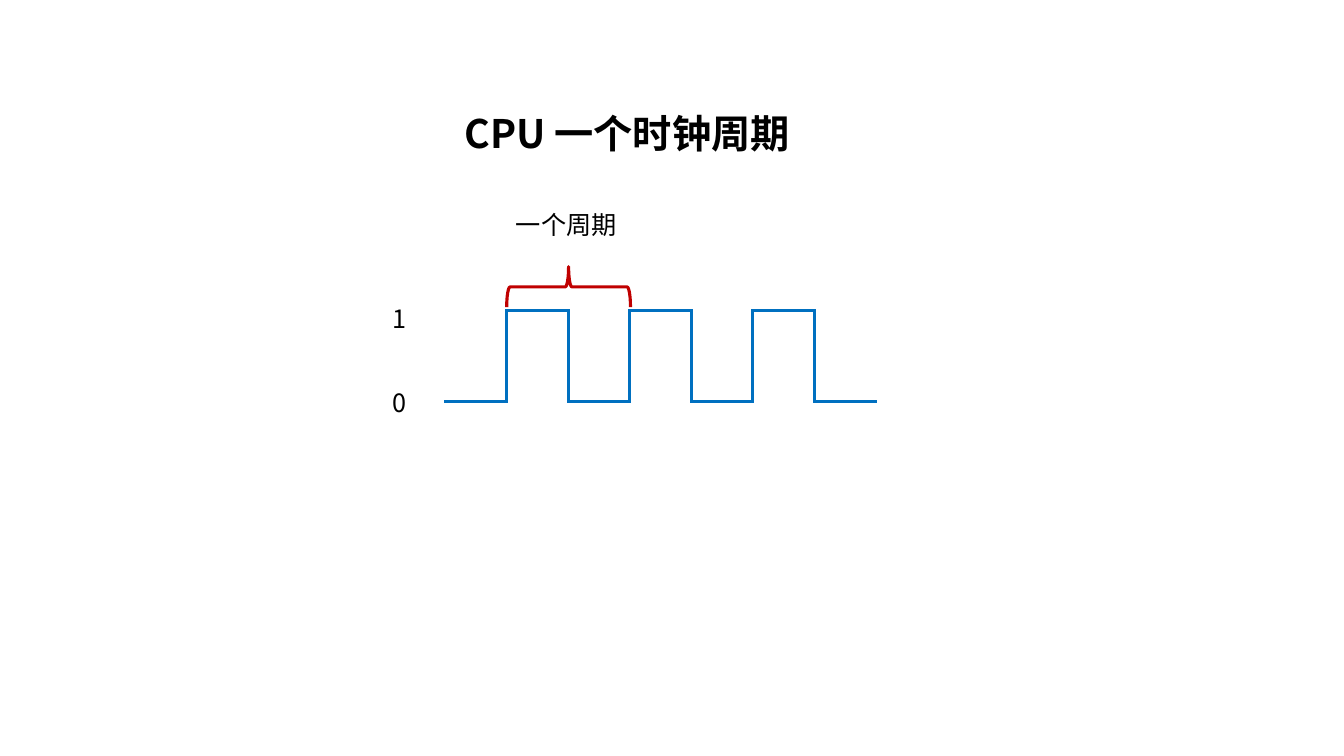
import pptx
import pptx.dml.color
import pptx.enum.shapes
import pptx.enum.text
import pptx.util
from lxml import etree
from pptx.oxml.ns import qn
from pptx.util import Cm

FONT = "Noto Sans CJK SC"


def color(value):
    return pptx.dml.color.RGBColor.from_string(value)


def style_line(shape, value):
    shape.line.color.rgb = color(value)
    shape.line.width = pptx.util.Pt(2.25)


deck = pptx.Presentation()
deck.slide_width, deck.slide_height = Cm(33.87), Cm(19.05)
page = deck.slides.add_slide(deck.slide_layouts[6])

# Clock signal: six edges, alternating high and low levels
first_edge, half_period, overhang = 12.77, 1.55, 0.03
high, low = 7.82, 10.11
edges = [first_edge + half_period * i for i in range(6)]
segments = [(x, low + overhang, x, high - overhang) for x in edges]
for i in range(7):
    left = first_edge + half_period * (i - 1)
    level = high if i % 2 else low
    segments.append((left - overhang, level, left + half_period + overhang, level))

for segment in segments:
    wire = page.shapes.add_connector(
        pptx.enum.shapes.MSO_CONNECTOR.STRAIGHT, *[Cm(v) for v in segment])
    style_line(wire, "0070C0")
    etree.SubElement(wire._element.spPr, qn("a:effectLst"))

# Brace over one period
brace = page.shapes.add_shape(
    pptx.enum.shapes.MSO_SHAPE.RIGHT_BRACE, Cm(13.82), Cm(5.67), Cm(1.02), Cm(3.12))
brace.rotation = 270
brace.shadow.inherit = False
brace.fill.background()
style_line(brace, "C00000")

# Title and labels: text, left, top, width, height, size, bold, wrap
texts = [
    ("0", 9.63, 9.63, 0.86, 1.02, 18, False, False),
    ("1", 9.63, 7.52, 0.86, 1.02, 18, False, False),
    ("一个周期", 12.75, 5.16, 3.07, 1.02, 18, False, False),
    ("CPU 一个时钟周期", 11.46, 2.62, 10.39, 1.45, 28, True, True),
]
for text, left, top, width, height, size, bold, wrap in texts:
    box = page.shapes.add_textbox(Cm(left), Cm(top), Cm(width), Cm(height))
    box.text_frame.word_wrap = wrap
    box.text_frame.auto_size = pptx.enum.text.MSO_AUTO_SIZE.SHAPE_TO_FIT_TEXT
    span = box.text_frame.paragraphs[0].add_run()
    span.text = text
    formats = {"name": FONT, "size": pptx.util.Pt(size), "bold": bold}
    for key, value in formats.items():
        setattr(span.font, key, value)
    span.font.color.rgb = color("000000")
    # East Asian typeface for the Chinese characters
    etree.SubElement(span._r.get_or_add_rPr(), qn("a:ea"), typeface=FONT)

deck.save("out.pptx")
